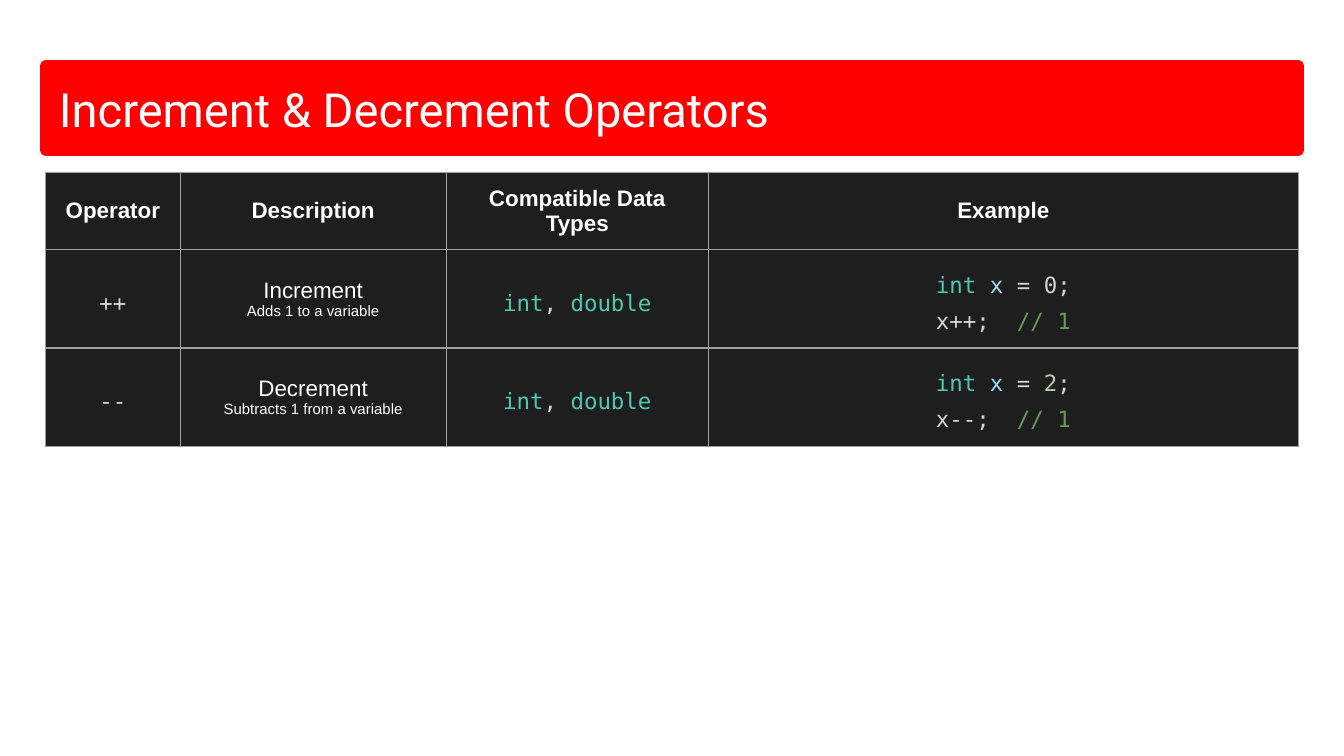
from dataclasses import dataclass

from lxml import etree
from pptx import Presentation
from pptx.dml.color import RGBColor
from pptx.enum.shapes import MSO_SHAPE
from pptx.enum.text import MSO_ANCHOR, PP_ALIGN
from pptx.oxml.ns import qn
from pptx.util import Pt

RECTANGLE = MSO_SHAPE.RECTANGLE
MIDDLE = MSO_ANCHOR.MIDDLE
LEFT, CENTER = PP_ALIGN.LEFT, PP_ALIGN.CENTER

RED = RGBColor(0xFF, 0x00, 0x00)
WHITE = RGBColor(0xFF, 0xFF, 0xFF)
DARK = RGBColor(0x1E, 0x1E, 0x1E)
BORDER = RGBColor(0x9E, 0x9E, 0x9E)
PLAIN = RGBColor(0xD4, 0xD4, 0xD4)
TYPE = RGBColor(0x4E, 0xC9, 0xB0)
VARIABLE = RGBColor(0x9C, 0xDC, 0xFE)
NUMBER = RGBColor(0xB5, 0xCE, 0xA8)
COMMENT = RGBColor(0x6A, 0x99, 0x55)

TEXT_FONT, CODE_FONT, TITLE_FONT = "Arial", "DejaVu Sans Mono", "Roboto"
INSET = Pt(7.2)
COLUMN_WIDTHS = (72, 142.6, 140.4, 316.1)
ROW_HEIGHTS = (41.4, 52.2, 52.2)


@dataclass(frozen=True)
class Span:
    """A piece of text in one colour."""
    text: str
    color: RGBColor = PLAIN


@dataclass(frozen=True)
class Line:
    """A paragraph with one font and size."""
    spans: tuple[Span, ...]
    font: str = TEXT_FONT
    size: float = 12
    bold: bool = False
    spacing: float = 1.0


@dataclass(frozen=True)
class Operator:
    """One operator with its explanation and example value."""
    symbol: str
    name: str
    effect: str
    start: tuple[Span, ...]


OPERATORS = (
    Operator("++", "Increment", "Adds 1 to a variable", (Span(" = 0;"),)),
    Operator("--", "Decrement", "Subtracts 1 from a variable",
             (Span(" = "), Span("2", NUMBER), Span(";"))),
)


def label(text: str, size: float = 12, bold: bool = False) -> Line:
    """Return a white line of ordinary text."""
    return Line((Span(text, WHITE),), size=size, bold=bold)


def code(*spans: Span) -> Line:
    """Return a line of source code."""
    return Line(spans, CODE_FONT, spacing=1.36)


def operator_row(operator: Operator) -> list[list[Line]]:
    """Return the four cells that describe an operator."""
    return [
        [code(Span(operator.symbol))],
        [label(operator.name), label(operator.effect, 8)],
        [code(Span("int", TYPE), Span(", "), Span("double", TYPE))],
        [code(Span("int ", TYPE), Span("x", VARIABLE), *operator.start),
         code(Span(f"x{operator.symbol};  "), Span("// 1", COMMENT))],
    ]


def write_lines(frame, lines: list[Line], alignment) -> None:
    """Fill a text frame with formatted lines."""
    for index, line in enumerate(lines):
        para = frame.add_paragraph() if index else frame.paragraphs[0]
        para.alignment = alignment
        para.line_spacing = line.spacing
        para.font.name = line.font
        para.font.size = Pt(line.size)
        para.font.bold = line.bold
        for span in line.spans:
            run = para.add_run()
            run.text = span.text
            run.font.color.rgb = span.color


def add_borders(cell) -> None:
    """Draw a thin line on all four sides of a cell."""
    properties = cell._tc.get_or_add_tcPr()
    for index, side in enumerate(("lnL", "lnR", "lnT", "lnB")):
        border = etree.Element(qn(f"a:{side}"), w=str(Pt(0.75)))
        fill = etree.SubElement(border, qn("a:solidFill"))
        etree.SubElement(fill, qn("a:srgbClr"), val=str(BORDER))
        properties.insert(index, border)


def add_title(page, text: str) -> None:
    """Draw the red title bar with rounded line joins."""
    box = page.shapes.add_shape(RECTANGLE, Pt(24.5), Pt(35.3), Pt(671), Pt(45.4))
    box.shadow.inherit = False
    box.fill.solid()
    box.fill.fore_color.rgb = RED
    box.line.color.rgb = RED
    box.line.width = Pt(6)
    etree.SubElement(box.line._get_or_add_ln(), qn("a:round"))
    frame = box.text_frame
    frame.word_wrap = True
    frame.vertical_anchor = MIDDLE
    frame.margin_left = frame.margin_right = INSET
    frame.margin_top = frame.margin_bottom = INSET
    write_lines(frame, [Line((Span(text, WHITE),), TITLE_FONT, 25.2)], LEFT)


def add_operator_table(page, rows: list[list[list[Line]]]) -> None:
    """Draw the dark table of operators."""
    table = page.shapes.add_table(
        len(rows), len(COLUMN_WIDTHS), Pt(24.5), Pt(92.4),
        Pt(sum(COLUMN_WIDTHS)), Pt(sum(ROW_HEIGHTS))).table
    for column, width in zip(table.columns, COLUMN_WIDTHS):
        column.width = Pt(width)
    for row, height, contents in zip(table.rows, ROW_HEIGHTS, rows):
        row.height = Pt(height)
        for cell, lines in zip(row.cells, contents):
            cell.fill.solid()
            cell.fill.fore_color.rgb = DARK
            cell.vertical_anchor = MIDDLE
            cell.margin_left = cell.margin_right = INSET
            cell.margin_top = cell.margin_bottom = INSET
            add_borders(cell)
            write_lines(cell.text_frame, lines, CENTER)


def main() -> None:
    """Build and save the slide."""
    deck = Presentation()
    deck.slide_width, deck.slide_height = Pt(720), Pt(405)
    page = deck.slides.add_slide(deck.slide_layouts[6])
    add_title(page, "Increment & Decrement Operators")
    headings = ("Operator", "Description", "Compatible Data Types", "Example")
    header = [[label(text, bold=True)] for text in headings]
    add_operator_table(page, [header, *map(operator_row, OPERATORS)])
    deck.save("out.pptx")


main()
